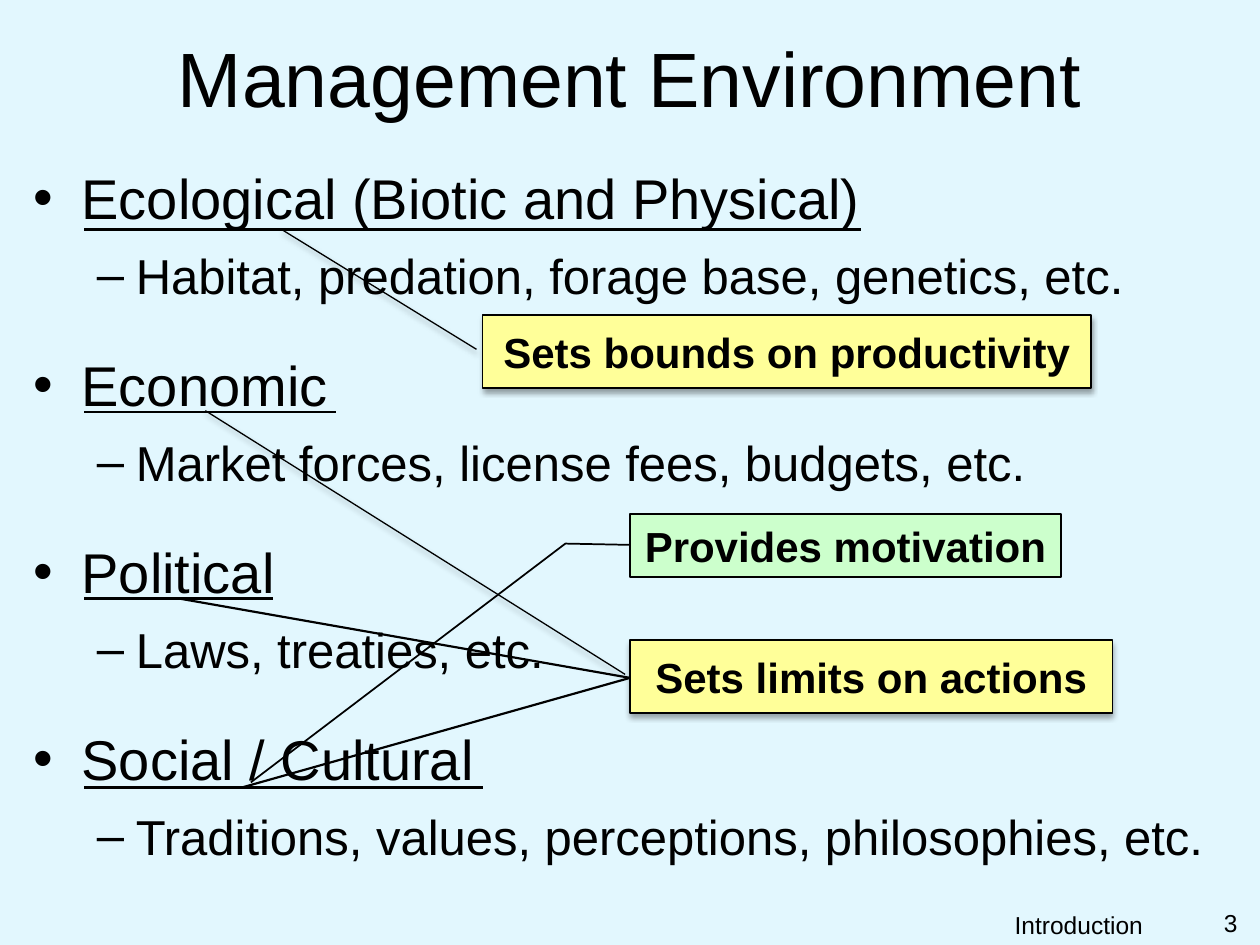
from dataclasses import dataclass

from lxml import etree
from pptx import Presentation
from pptx.dml.color import RGBColor
from pptx.enum.shapes import MSO_CONNECTOR, MSO_SHAPE
from pptx.enum.text import MSO_ANCHOR as Anchor, PP_ALIGN as Align
from pptx.oxml.ns import qn
from pptx.util import Inches, Pt


@dataclass(frozen=True)
class Theme:
    """Colours, font and type sizes of the slide."""
    background: str = "E2F7FE"
    ink: str = "000000"
    limit: str = "FFFF99"
    motive: str = "CCFFCC"
    font: str = "Arial"
    title: int = 44
    heading: int = 32
    detail: int = 28
    callout: int = 24
    footer: int = 14


THEME = Theme()

FACTORS = [
    ("Ecological (Biotic and Physical)", "Habitat, predation, forage base, genetics, etc."),
    ("Economic", "Market forces, license fees, budgets, etc."),
    ("Political", "Laws, treaties, etc."),
    ("Social / Cultural", "Traditions, values, perceptions, philosophies, etc."),
]
UNDERLINES = [(1.82, 6.83), (3.27, 2.67), (4.75, 2.17), (6.25, 3.83)]


def color(value):
    """Turn a hex value into a colour."""
    return RGBColor.from_string(value)


def write(paragraph, text, *, size, bold=False, align=Align.LEFT, before=0):
    """Put formatted text in a paragraph."""
    paragraph.alignment = align
    paragraph.space_before = Pt(before)
    run = paragraph.add_run()
    run.text = text
    run.font.name = THEME.font
    run.font.size = Pt(size)
    run.font.bold = bold
    run.font.color.rgb = color(THEME.ink)


def add_text_box(slide, left, top, width, height, anchor=Anchor.TOP):
    """Add a wrapping text box and return its text frame."""
    box = slide.shapes.add_textbox(Inches(left), Inches(top), Inches(width), Inches(height))
    box.text_frame.word_wrap = True
    box.text_frame.vertical_anchor = anchor
    return box.text_frame


def add_bullet(paragraph, mark, margin, hanging):
    """Give a paragraph a hanging bullet."""
    properties = paragraph._p.get_or_add_pPr()
    properties.set("marL", str(Inches(margin)))
    properties.set("indent", str(-Inches(hanging)))
    etree.SubElement(properties, qn("a:buFont"), typeface=THEME.font)
    etree.SubElement(properties, qn("a:buChar"), char=mark)


def add_factors(slide):
    """List each factor with its examples."""
    frame = add_text_box(slide, 0.17, 1.25, 9.67, 5.83)
    for index, (heading, detail) in enumerate(FACTORS):
        first = frame.add_paragraph() if index else frame.paragraphs[0]
        write(first, heading, size=THEME.heading, before=26.5 if index else 3)
        add_bullet(first, "•", 0.38, 0.38)
        second = frame.add_paragraph()
        write(second, detail, size=THEME.detail, before=8.3)
        add_bullet(second, "–", 0.81, 0.31)


def add_line(slide, start, end, width):
    """Draw a straight line without a shadow."""
    points = [Inches(value) for value in (*start, *end)]
    line = slide.shapes.add_connector(MSO_CONNECTOR.STRAIGHT, *points)
    line.line.color.rgb = color(THEME.ink)
    line.line.width = Pt(width)
    etree.SubElement(line._element.spPr, qn("a:effectLst"))


def add_shadow(shape):
    """Add a soft shadow below a shape."""
    shape.shadow.inherit = False
    effects = shape._element.spPr.find(qn("a:effectLst"))
    shadow = etree.SubElement(effects, qn("a:outerShdw"), blurRad=str(Pt(3.1)),
                              dist=str(Pt(1.8)), dir="5400000", rotWithShape="0")
    shade = etree.SubElement(shadow, qn("a:srgbClr"), val=THEME.ink)
    etree.SubElement(shade, qn("a:alpha"), val="35000")


def add_callout(slide, kind, text, place, pointer, *, fill, width, shadow=False):
    """Add a bordered callout whose pointer follows the given fractions."""
    shape = slide.shapes.add_shape(kind, *[Inches(value) for value in place])
    for index, value in enumerate(pointer):
        shape.adjustments[index] = value
    shape.fill.solid()
    shape.fill.fore_color.rgb = color(fill)
    shape.line.color.rgb = color(THEME.ink)
    shape.line.width = Pt(width)
    shape.shadow.inherit = False
    if shadow:
        add_shadow(shape)
    frame = shape.text_frame
    frame.word_wrap = True
    frame.margin_left = frame.margin_right = 0
    frame.vertical_anchor = Anchor.MIDDLE
    write(frame.paragraphs[0], text, size=THEME.callout, bold=True, align=Align.CENTER)


def main():
    """Build and save the slide."""
    presentation = Presentation()
    presentation.slide_width, presentation.slide_height = Inches(10), Inches(7.5)
    slide = presentation.slides.add_slide(presentation.slide_layouts[6])
    slide.background.fill.solid()
    slide.background.fill.fore_color.rgb = color(THEME.background)

    title = add_text_box(slide, 0.07, 0.13, 9.86, 0.95, Anchor.MIDDLE)
    write(title.paragraphs[0], "Management Environment", size=THEME.title, align=Align.CENTER)
    add_factors(slide)
    for text, place in (("Introduction", (6, 7.17, 3.17, 0.25)), ("3", (9.25, 7.16, 0.67, 0.34))):
        footer = add_text_box(slide, *place)
        write(footer.paragraphs[0], text, size=THEME.footer, align=Align.RIGHT)

    for top, right in UNDERLINES:
        add_line(slide, (0.67, top), (right, top), 1.5)
    add_callout(slide, MSO_SHAPE.LINE_CALLOUT_1, "Sets bounds on productivity",
                (3.83, 2.5, 4.83, 0.58), (0.47, -0.01, -1.17, -0.33),
                fill=THEME.limit, width=0.75, shadow=True)
    add_callout(slide, MSO_SHAPE.LINE_CALLOUT_1, "Sets limits on actions",
                (5, 5.08, 3.83, 0.58), (0.47, -0.01, -3.14, -0.88),
                fill=THEME.limit, width=0.75, shadow=True)
    for end in ((1.42, 4.75), (1.92, 6.25)):
        add_line(slide, (5, 5.38), end, 1.25)
    add_callout(slide, MSO_SHAPE.LINE_CALLOUT_2, "Provides motivation",
                (5, 4.08, 3.42, 0.5), (0.49, 0, 0.47, -0.15, 4.26, -0.88),
                fill=THEME.motive, width=1)
    presentation.save("out.pptx")


if __name__ == "__main__":
    main()
